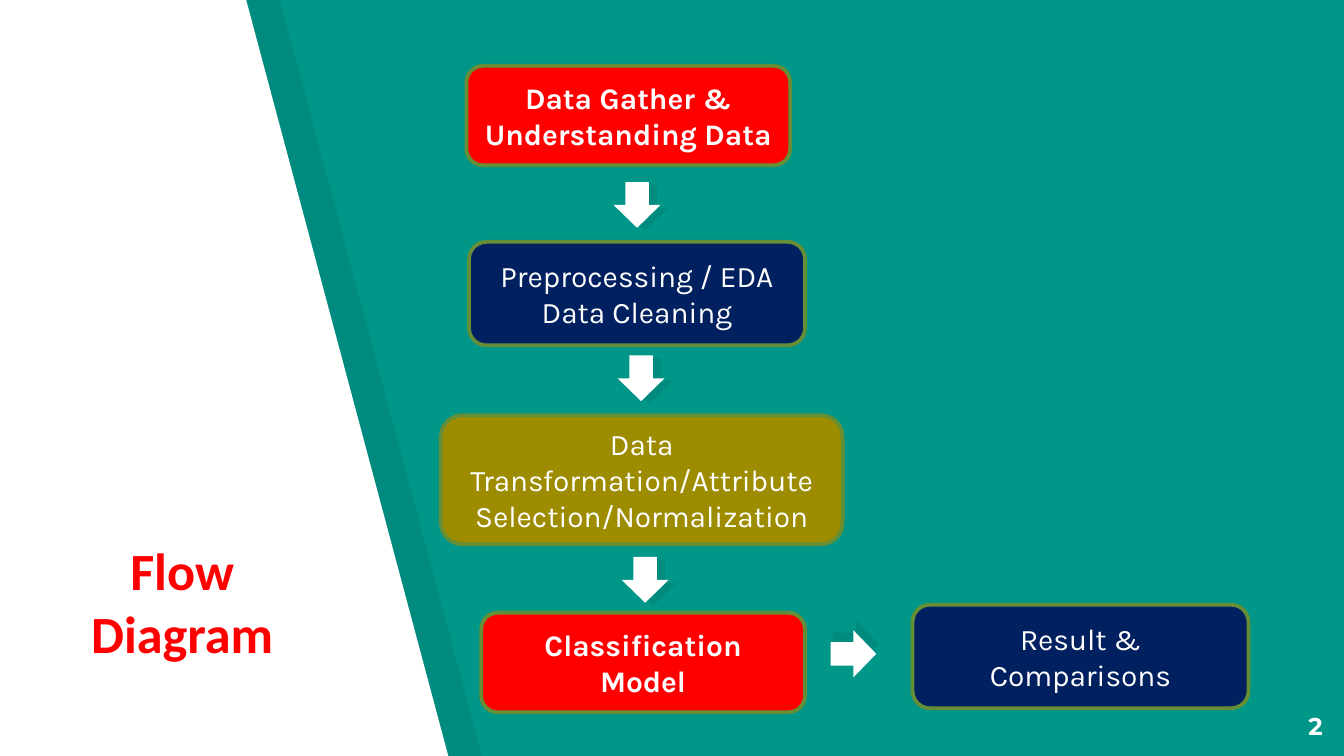
from pptx import Presentation
from pptx.dml.color import RGBColor
from pptx.enum.shapes import MSO_SHAPE
from pptx.enum.text import MSO_ANCHOR, PP_ALIGN
from pptx.oxml.ns import qn
from pptx.util import Inches, Pt
from lxml import etree

COLORS = {
    "teal": "009688",
    "white": "FFFFFF",
    "shade": "000000",
    "red": "FF0000",
    "navy": "002060",
    "olive": "9D8C00",
    "border": "658E36",
}
SHADE_OPACITY = 7
ARROW_SIZE = (0.34, 0.35)
STEPS = [
    ((3.47, 0.49, 2.41, 0.74), "red", True, ["Data Gather & Understanding Data"]),
    ((3.49, 1.8, 2.5, 0.77), "navy", False, ["Preprocessing / EDA", "Data Cleaning"]),
    ((3.28, 3.09, 2.99, 0.96), "olive", False,
     ["Data Transformation/Attribute Selection/Normalization"]),
    ((3.58, 4.56, 2.41, 0.74), "red", True, ["Classification Model"]),
    ((6.79, 4.5, 2.5, 0.77), "navy", False, ["Result & Comparisons"]),
]
DOWN_SHADE = (0.06, 0.02)
ARROWS = [
    ((4.57, 1.35), 90, DOWN_SHADE),
    ((4.6, 2.64), 90, DOWN_SHADE),
    ((4.63, 4.14), 90, DOWN_SHADE),
    ((6.18, 4.69), 0, (0.02, -0.07)),
]


def rgb(name):
    return RGBColor.from_string(COLORS[name])


def paint(shape, color, opacity=100):
    shape.shadow.inherit = False
    shape.line.fill.background()
    shape.fill.solid()
    shape.fill.fore_color.rgb = rgb(color)
    if opacity < 100:
        tint = shape.fill._xPr.find(qn("a:solidFill"))[0]
        etree.SubElement(tint, qn("a:alpha")).set("val", str(opacity * 1000))


def add_span(para, text, font, size, color, bold):
    span = para.add_run()
    span.text = text
    span.font.name = font
    span.font.size = Pt(size)
    span.font.bold = bold
    span.font.color.rgb = rgb(color)


def add_wedge(page, box, color, opacity=100):
    left, top, width, height = box
    corners = [(left, top), (left, top + height),
               (left + width, top + height), (left + width - 1.51, top)]
    points = [(Inches(x), Inches(y)) for x, y in corners]
    builder = page.shapes.build_freeform(*points[0])
    builder.add_line_segments(points[1:], close=True)
    paint(builder.convert_to_shape(), color, opacity)


def add_label(page, box, lines, align, anchor, font, size, color):
    label = page.shapes.add_textbox(*map(Inches, box))
    frame = label.text_frame
    frame.word_wrap = True
    frame.vertical_anchor = anchor
    frame.margin_left = frame.margin_right = Inches(0.1)
    frame.margin_top = frame.margin_bottom = Inches(0.1)
    para = frame.paragraphs[0]
    para.alignment = align
    for index, line in enumerate(lines):
        if index:
            para.add_line_break()
        add_span(para, line, font, size, color, True)


def add_step(page, box, color, bold, lines):
    step = page.shapes.add_shape(MSO_SHAPE.ROUNDED_RECTANGLE, *map(Inches, box))
    paint(step, color)
    step.line.color.rgb = rgb("border")
    step.line.width = Pt(2)
    frame = step.text_frame
    frame.word_wrap = True
    frame.vertical_anchor = MSO_ANCHOR.MIDDLE
    for index, line in enumerate(lines):
        para = frame.add_paragraph() if index else frame.paragraphs[0]
        para.alignment = PP_ALIGN.CENTER
        add_span(para, line, "Karla", 16, "white", bold)


def add_arrow(page, corner, rotation, shade_offset):
    left, top = corner
    shift_x, shift_y = shade_offset
    group = page.shapes.add_group_shape()
    layers = [(left + shift_x, top + shift_y, "shade", SHADE_OPACITY),
              (left, top, "white", 100)]
    for x, y, color, opacity in layers:
        arrow = group.shapes.add_shape(
            MSO_SHAPE.RIGHT_ARROW, *map(Inches, (x, y, *ARROW_SIZE)))
        arrow.rotation = rotation
        paint(arrow, color, opacity)


def build_flow_page(deck):
    page = deck.slides.add_slide(deck.slide_layouts[6])
    page.background.fill.solid()
    page.background.fill.fore_color.rgb = rgb("teal")
    add_wedge(page, (0.23, -0.01, 3.36, 5.65), "shade", SHADE_OPACITY)
    add_wedge(page, (-0.02, -0.01, 3.36, 5.65), "white")
    add_label(page, (-0.11, 3.4, 2.93, 1.64), ["Flow", "Diagram"],
              PP_ALIGN.CENTER, MSO_ANCHOR.BOTTOM, "Calibri", 28, "red")
    add_label(page, (9.34, 5.19, 0.6, 0.43), ["2"],
              PP_ALIGN.RIGHT, MSO_ANCHOR.TOP, "Montserrat", 13, "white")
    for step in STEPS:
        add_step(page, *step)
    for arrow in ARROWS:
        add_arrow(page, *arrow)


def main():
    deck = Presentation()
    deck.slide_width = Inches(10)
    deck.slide_height = deck.slide_width * 9 // 16
    build_flow_page(deck)
    deck.save("out.pptx")


if __name__ == "__main__":
    main()
